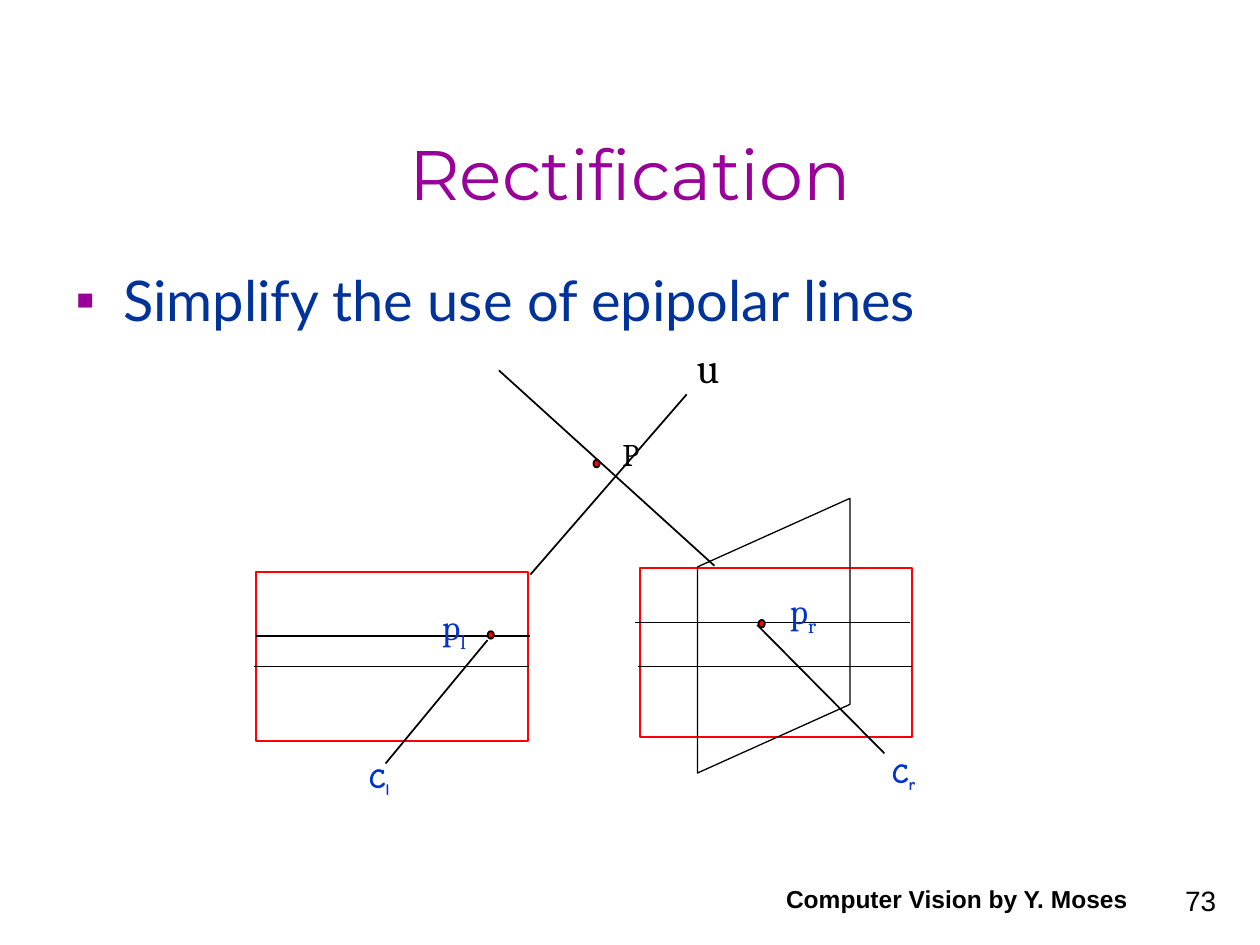
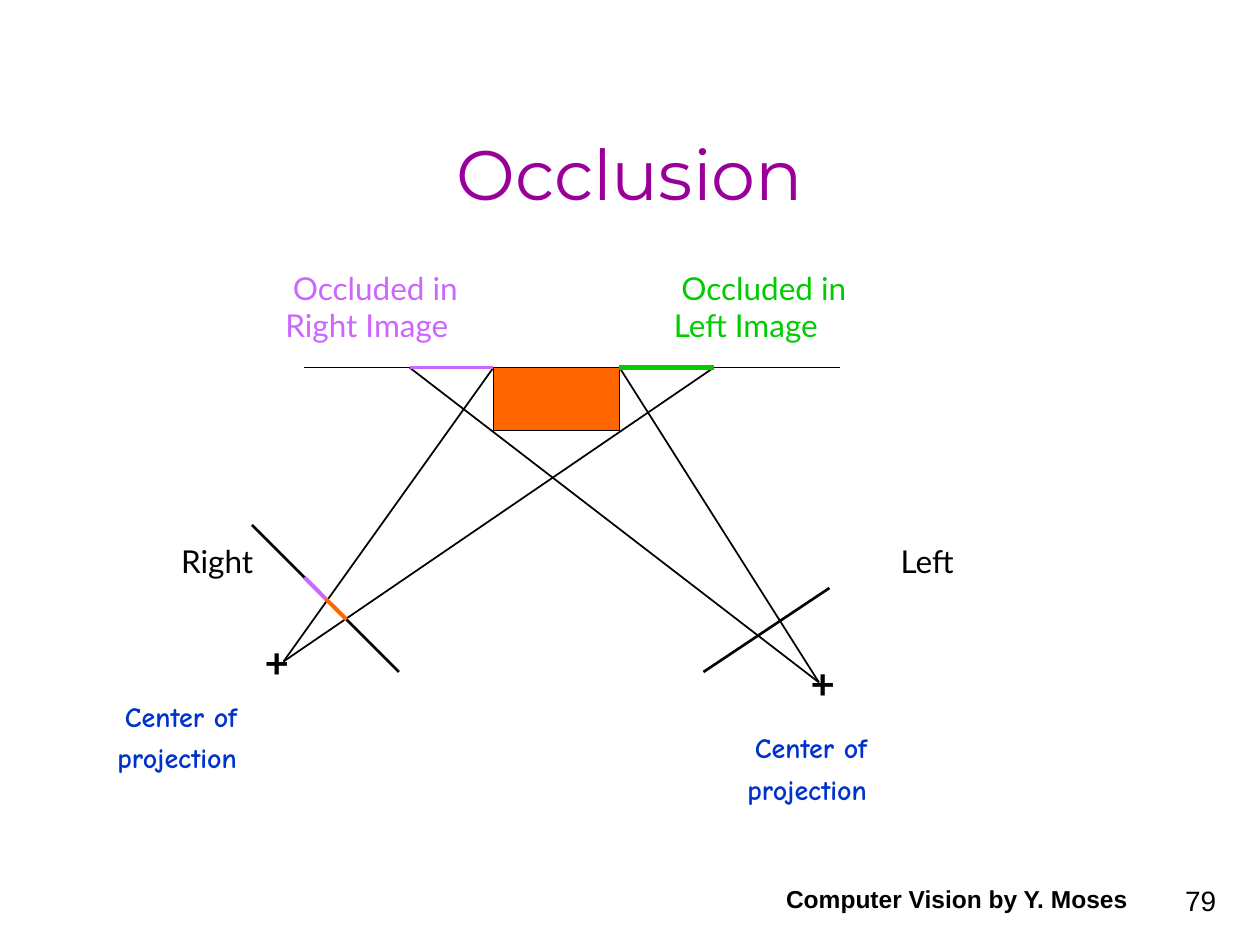
from lxml import etree
from pptx import Presentation
from pptx import util as u
from pptx.dml.color import RGBColor
from pptx.enum import shapes, text
from pptx.oxml.ns import qn

COLORS = {
    "ink": "000000", "title": "990099", "body": "003399", "label": "0033CC",
    "red": "FF0000", "orange": "FF6600", "green": "00CC00", "violet": "CC66FF",
}
WIDTH, HEIGHT = 10, 7.5
TWELFTH = 1 / 12
FOOTER = "Computer Vision by Y. Moses"

POINT = dict(font="Cambria", size=20, color="label")
CENTER = dict(font="Comic Neue", size=16, color="label", bold=True)
CAPTION = dict(font="Lato", size=18)
CROSS = dict(font="Lato", size=24, bold=True, align="RIGHT")
OCCLUDED = dict(CAPTION, first_indent=0.06)
PROJECTION = dict(CENTER, first_indent=0.06, gap=4.6)
VIEW = (2.16, 1.34)
EPIPOLAR = 2.18

RECTIFICATION = {
    "title": "Rectification",
    "number": "73",
    "unit": 1,
    "bullet": "Simplify the use of epipolar lines",
    "boxes": [
        ("RECTANGLE", 2.03, 4.54, *VIEW, dict(line="red")),
        ("RECTANGLE", 5.08, 4.51, *VIEW, dict(line="red")),
        ("PARALLELOGRAM", 5.05, 4.44, 2.18, 1.21,
         dict(weight=0.75, rotation=270, flip=True, adjust=0.45)),
    ],
    "lines": [
        (3.06, 6.06, 3.87, 5.08, "ink", 1),
        (4.21, 4.56, 5.45, 3.13, "ink", 1),
        (3.96, 2.94, 5.67, 4.49, "ink", 1),
        (7.02, 5.98, 6.01, 4.96, "ink", 1),
    ] + [(x, y, x + EPIPOLAR, y, "ink", 1)
         for x, y in [(2.03, 5.05), (2.02, 5.29), (5.06, 5.29), (5.04, 4.94)]],
    "dots": [(3.87, 5.01), (6.02, 4.92), (4.71, 3.65)],
    "labels": [
        (2.83, 5.99, 0.5, 0.37, ["C"], dict(CENTER, sub="l")),
        (6.98, 5.95, 0.5, 0.37, ["C"], dict(CENTER, sub="r")),
        (4.84, 3.4, 0.45, 0.4, ["P"], dict(font="Cambria", size=18)),
        (5.43, 2.66, 0.48, 0.5, ["u"], dict(font="Cambria", size=24)),
        (3.41, 4.76, 0.65, 0.43, ["p"], dict(POINT, sub="l")),
        (6.17, 4.63, 0.65, 0.43, ["p"], dict(POINT, sub="r")),
    ],
}

OCCLUSION = {
    "title": "Occlusion",
    "number": "79",
    "unit": TWELFTH,
    "boxes": [("RECTANGLE", 47, 35, 12, 6, dict(fill="orange"))],
    "lines": [
        (29, 35, 80, 35, "ink", 1),
        (27, 63, 68, 35, "ink", 1),
        (47, 35, 27, 63, "ink", 1),
        (39, 35, 78, 65, "ink", 1),
        (59, 35, 78, 65, "ink", 1),
        (79, 56, 67, 64, "ink", 1.5),
        (59, 35, 68, 35, "green", 3),
        (47, 35, 39, 35, "violet", 2.25),
        (33, 59, 38, 64, "ink", 1.5),
        (31, 57, 33, 59, "orange", 2.25),
        (31, 57, 29, 55, "violet", 2.25),
        (24, 50, 29, 55, "ink", 1.5),
    ],
    "dots": [],
    "labels": [
        (22, 60, 6.7, 6, ["+"], CROSS),
        (74, 62, 6.7, 6, ["+"], CROSS),
        (63, 25, 20.2, 8.4, ["Occluded in", "Left Image"], dict(OCCLUDED, color="green")),
        (26, 25, 20.8, 8.4, ["Occluded in", "Right Image"], dict(OCCLUDED, color="violet")),
        (14, 51, 11.3, 4.8, ["Right"], dict(CAPTION, align="RIGHT")),
        (83, 51, 9, 4.8, ["Left"], dict(CAPTION, align="RIGHT")),
        (70, 69, 18.6, 8.4, ["Center of", "projection"], PROJECTION),
        (10, 66, 18.6, 8.4, ["Center of", "projection"], PROJECTION),
    ],
}


def rgb(name):
    return RGBColor.from_string(COLORS[name])


def lengths(values, unit=1):
    return [u.Inches(v * unit) for v in values]


def add_bullet(p):
    pPr = p._p.get_or_add_pPr()
    pPr.set("marL", str(u.Inches(0.38)))
    pPr.set("indent", str(-u.Inches(0.38)))
    clr = etree.SubElement(pPr, qn("a:buClr"))
    etree.SubElement(clr, qn("a:srgbClr"), val=COLORS["title"])
    etree.SubElement(pPr, qn("a:buFont"), typeface="Arial")
    etree.SubElement(pPr, qn("a:buChar"), char="▪")


def add_text(s, box, paragraphs, font="Arial", size=18, color="ink", bold=False,
             align="LEFT", anchor="TOP", sub=None, first_indent=0, gap=0,
             bullet=False, unit=1):
    tf = s.shapes.add_textbox(*lengths(box, unit)).text_frame
    tf.word_wrap = True
    tf.vertical_anchor = getattr(text.MSO_ANCHOR, anchor)
    for i, words in enumerate(paragraphs):
        p = tf.add_paragraph() if i else tf.paragraphs[0]
        p.alignment = getattr(text.PP_ALIGN, align)
        if i and gap:
            p.space_before = u.Pt(gap)
        if not i and first_indent:
            p._p.get_or_add_pPr().set("indent", str(u.Inches(first_indent)))
        if bullet:
            add_bullet(p)
        for part in filter(None, (words, sub)):
            r = p.add_run()
            r.text = part
            r.font.name, r.font.size, r.font.bold = font, u.Pt(size), bold
            r.font.color.rgb = rgb(color)
        if sub:
            r._r.get_or_add_rPr().set("baseline", "-25000")


def add_box(s, kind, box, unit=1, fill=None, line="ink", weight=1,
            rotation=0, flip=False, adjust=None):
    sp = s.shapes.add_shape(getattr(shapes.MSO_SHAPE, kind), *lengths(box, unit))
    sp.shadow.inherit = False
    if fill:
        sp.fill.solid()
        sp.fill.fore_color.rgb = rgb(fill)
    else:
        sp.fill.background()
    sp.line.color.rgb = rgb(line)
    sp.line.width = u.Pt(weight)
    sp.rotation = rotation
    if flip:
        sp._element.spPr.find(qn("a:xfrm")).set("flipH", "1")
    if adjust is not None:
        sp.adjustments[0] = adjust


def add_line(s, ends, color, weight, unit):
    c = s.shapes.add_connector(shapes.MSO_CONNECTOR.STRAIGHT, *lengths(ends, unit))
    c.line.color.rgb = rgb(color)
    c.line.width = u.Pt(weight)
    etree.SubElement(c._element.spPr, qn("a:effectLst"))


def add_frame(s, title, number):
    add_text(s, (0.75, 0.5, WIDTH - 1.5, 1.25), [title], font="Montserrat", size=40,
             color="title", align="CENTER", anchor="BOTTOM")
    add_text(s, (7.67, 6.83, 2.08, 0.5), [number], size=16,
             align="RIGHT", anchor="BOTTOM")
    add_text(s, (6.01, 6.8, 3.17, 0.5), [FOOTER], size=14, bold=True,
             align="CENTER", anchor="BOTTOM")


def add_slide(prs, content):
    s = prs.slides.add_slide(prs.slide_layouts[6])
    unit = content["unit"]
    add_frame(s, content["title"], content["number"])
    if "bullet" in content:
        add_text(s, (0.5, 2.06, 8.94, 4.56), [content["bullet"]], font="Lato",
                 size=32, color="body", bullet=True)
    for kind, *box, style in content["boxes"]:
        add_box(s, kind, box, unit, **style)
    for *ends, color, weight in content["lines"]:
        add_line(s, ends, color, weight, unit)
    for x, y in content["dots"]:
        add_box(s, "OVAL", (x, y, 0.05, 0.06), fill="red")
    for *box, paragraphs, style in content["labels"]:
        add_text(s, box, paragraphs, unit=unit, **style)


def main():
    prs = Presentation()
    prs.slide_width, prs.slide_height = lengths((WIDTH, HEIGHT))
    for content in (RECTIFICATION, OCCLUSION):
        add_slide(prs, content)
    prs.save("out.pptx")


if __name__ == "__main__":
    main()
